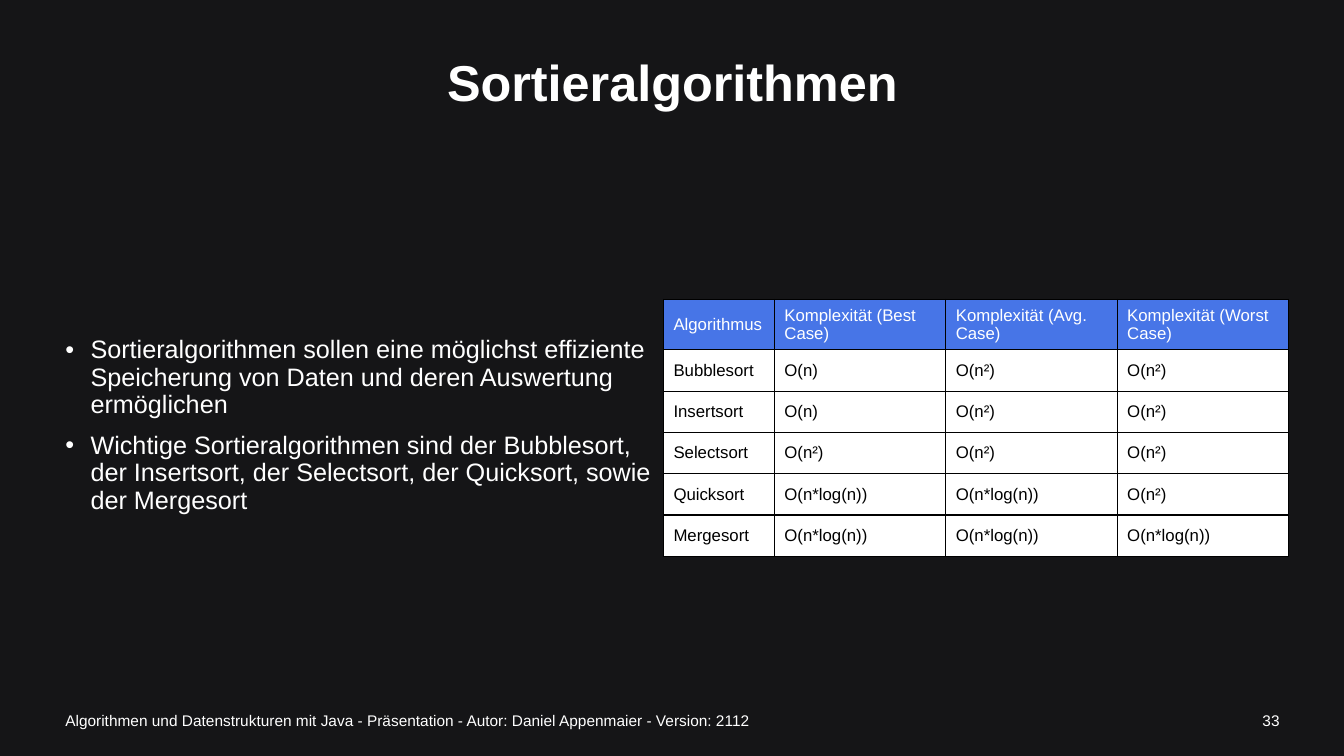
from dataclasses import dataclass

from lxml.etree import SubElement
from pptx import Presentation
from pptx.dml.color import RGBColor
from pptx.enum.text import MSO_ANCHOR as Anchor, PP_ALIGN as Align
from pptx.oxml.ns import qn
from pptx.slide import Slide
from pptx.table import _Cell as Cell
from pptx.text.text import _Paragraph as Paragraph
from pptx.util import Inches, Pt

COLORS = {
    "background": "151517",
    "light": "FFFFFF",
    "dark": "000000",
    "header": "4775E7",
}
FONT = "Arial"
COLUMN_WIDTHS = (1.1, 1.7, 1.7, 1.7)
ROW_HEIGHT = 0.41
LINEAR, QUADRATIC, LOGARITHMIC = "O(n)", "O(n²)", "O(n*log(n))"


@dataclass(frozen=True)
class TextBlock:
    paragraphs: tuple[str, ...]
    left: float
    top: float
    width: float
    height: float
    size: float
    align: Align = Align.LEFT
    bold: bool = False
    bulleted: bool = False
    line_spacing: float = 1.0


@dataclass(frozen=True)
class Algorithm:
    name: str
    best: str
    average: str
    worst: str


TEXT_BLOCKS = (
    TextBlock(("Sortieralgorithmen",), 0.55, 0.25, 12.24, 1.2, 36,
              align=Align.CENTER, bold=True, line_spacing=0.9),
    TextBlock((
        "Sortieralgorithmen sollen eine möglichst effiziente Speicherung von Daten "
        "und deren Auswertung ermöglichen",
        "Wichtige Sortieralgorithmen sind der Bubblesort, der Insertsort, "
        "der Selectsort, der Quicksort, sowie der Mergesort",
    ), 0.55, 1.7, 6.04, 5.05, 18, bulleted=True, line_spacing=0.9),
    TextBlock((
        "Algorithmen und Datenstrukturen mit Java - Präsentation - "
        "Autor: Daniel Appenmaier - Version: 2112",
    ), 0.55, 6.95, 11.44, 0.4, 11),
    TextBlock(("33",), 11.99, 6.95, 0.8, 0.4, 11, align=Align.RIGHT),
)
HEADINGS = Algorithm("Algorithmus", "Komplexität (Best Case)",
                     "Komplexität (Avg. Case)", "Komplexität (Worst Case)")
ALGORITHMS = (
    Algorithm("Bubblesort", LINEAR, QUADRATIC, QUADRATIC),
    Algorithm("Insertsort", LINEAR, QUADRATIC, QUADRATIC),
    Algorithm("Selectsort", QUADRATIC, QUADRATIC, QUADRATIC),
    Algorithm("Quicksort", LOGARITHMIC, LOGARITHMIC, QUADRATIC),
    Algorithm("Mergesort", LOGARITHMIC, LOGARITHMIC, LOGARITHMIC),
)


def color(name: str) -> RGBColor:
    return RGBColor.from_string(COLORS[name])


def style_font(paragraph: Paragraph, size: float, color_name: str, bold: bool = False) -> None:
    font = paragraph.font
    font.name, font.size, font.bold = FONT, Pt(size), bold
    font.color.rgb = color(color_name)


def add_bullet(paragraph: Paragraph) -> None:
    paragraph.space_before = Pt(10)
    properties = paragraph._p.get_or_add_pPr()
    properties.set("marL", str(Inches(0.25)))
    properties.set("indent", str(-Inches(0.25)))
    bullet_font = SubElement(properties, qn("a:buFont"))
    bullet_font.set("typeface", FONT)
    SubElement(properties, qn("a:buChar")).set("char", "•")


def add_text(slide: Slide, block: TextBlock) -> None:
    shape = slide.shapes.add_textbox(Inches(block.left), Inches(block.top),
                                     Inches(block.width), Inches(block.height))
    frame = shape.text_frame
    frame.word_wrap = True
    frame.vertical_anchor = Anchor.MIDDLE
    frame.text = "\n".join(block.paragraphs)
    for paragraph in frame.paragraphs:
        paragraph.alignment = block.align
        paragraph.line_spacing = block.line_spacing
        if block.bulleted:
            add_bullet(paragraph)
        style_font(paragraph, block.size, "light", block.bold)


def add_borders(cell: Cell) -> None:
    properties = cell._tc.get_or_add_tcPr()
    for side in ("lnL", "lnR", "lnT", "lnB"):
        line = SubElement(properties, qn(f"a:{side}"))
        line.set("w", str(Pt(1)))
        fill = SubElement(line, qn("a:solidFill"))
        SubElement(fill, qn("a:srgbClr")).set("val", COLORS["dark"])


def fill_cell(cell: Cell, text: str, fill_name: str, text_color: str) -> None:
    add_borders(cell)
    cell.fill.solid()
    cell.fill.fore_color.rgb = color(fill_name)
    cell.vertical_anchor = Anchor.MIDDLE
    cell.text = text
    style_font(cell.text_frame.paragraphs[0], 12, text_color)


def add_complexity_table(slide: Slide) -> None:
    rows = (HEADINGS, *ALGORITHMS)
    table = slide.shapes.add_table(
        len(rows), len(COLUMN_WIDTHS), Inches(6.58), Inches(2.97),
        Inches(sum(COLUMN_WIDTHS)), Inches(ROW_HEIGHT * len(rows))).table
    for column, width in zip(table.columns, COLUMN_WIDTHS):
        column.width = Inches(width)
    for table_row, row in zip(table.rows, rows):
        table_row.height = Inches(ROW_HEIGHT)
        fill_name, text_color = ("header", "light") if row is HEADINGS else ("light", "dark")
        texts = (row.name, row.best, row.average, row.worst)
        for cell, text in zip(table_row.cells, texts):
            fill_cell(cell, text, fill_name, text_color)


def main() -> None:
    """Build the slide on sorting algorithms and their complexities."""
    presentation = Presentation()
    presentation.slide_width, presentation.slide_height = Inches(13.33), Inches(7.5)
    slide = presentation.slides.add_slide(presentation.slide_layouts[6])
    background = slide.background.fill
    background.solid()
    background.fore_color.rgb = color("background")
    for block in TEXT_BLOCKS:
        add_text(slide, block)
    add_complexity_table(slide)
    presentation.save("out.pptx")


if __name__ == "__main__":
    main()
